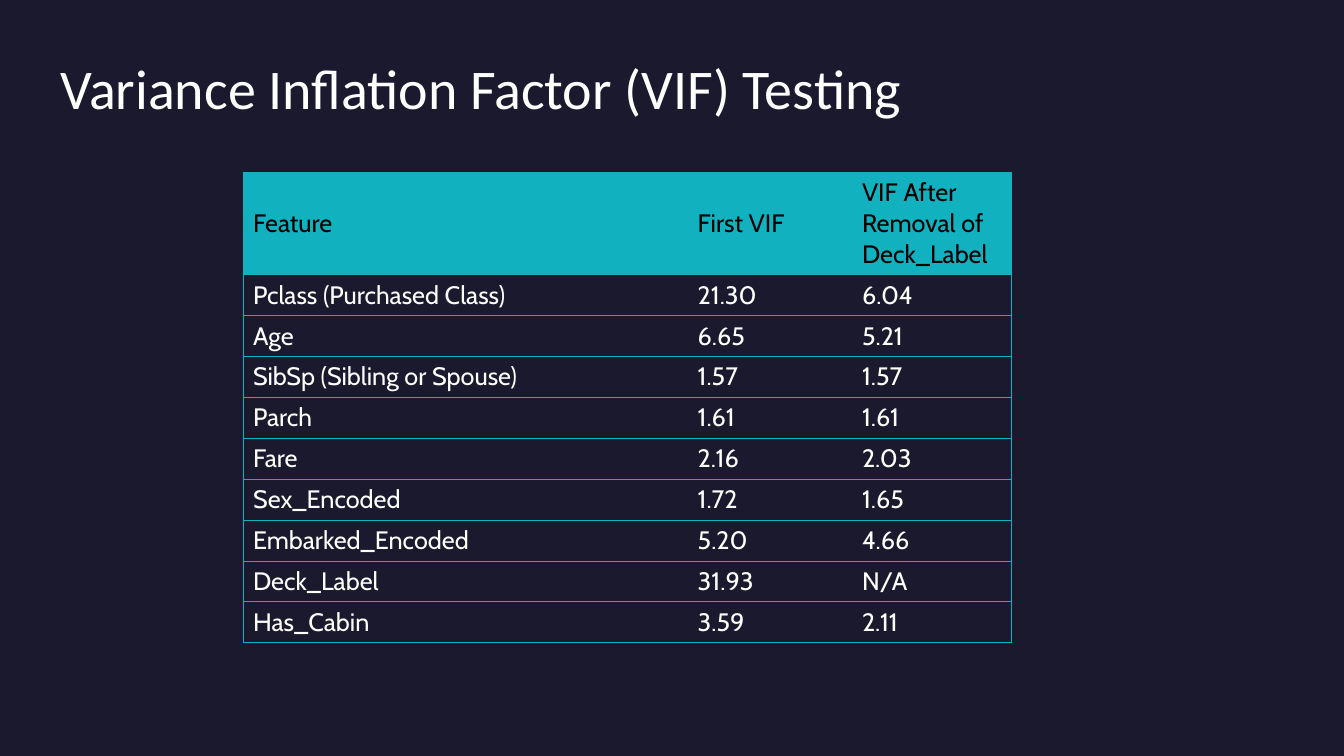
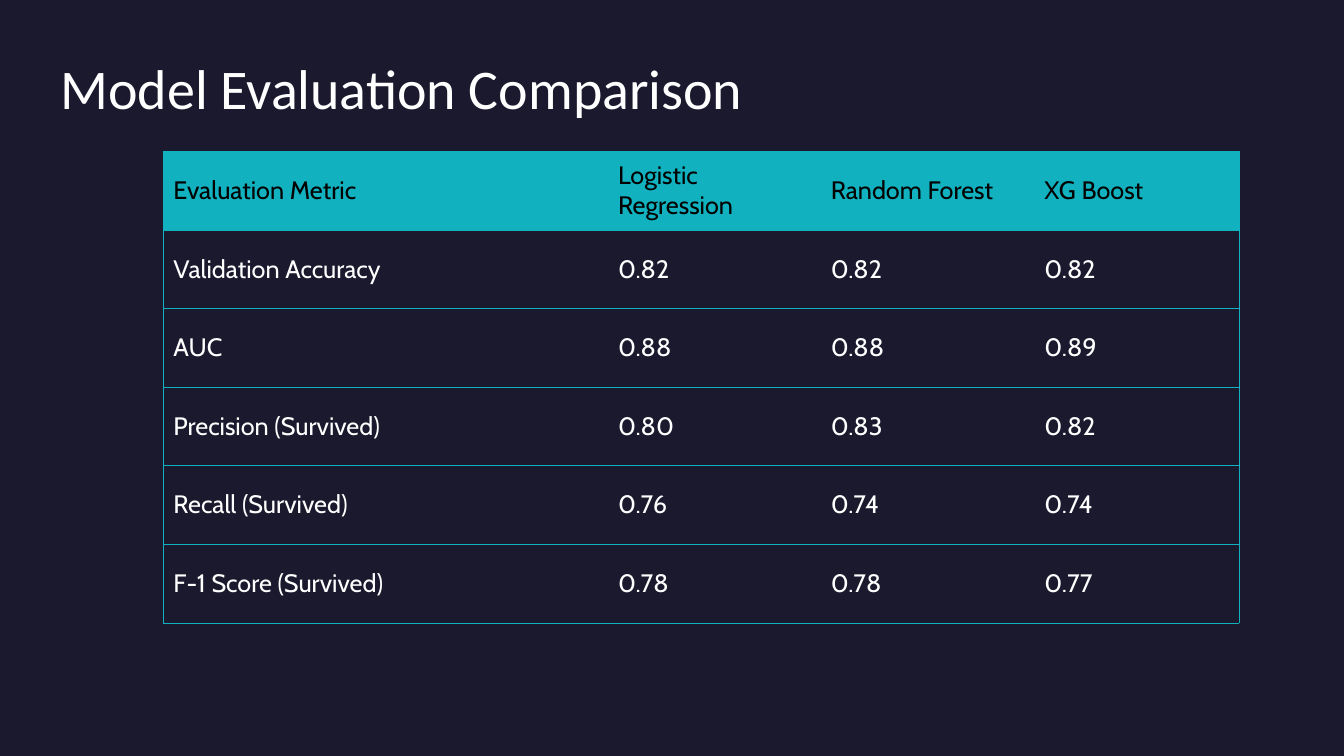
from dataclasses import dataclass

from lxml import etree
from pptx import Presentation
from pptx.dml.color import RGBColor
from pptx.enum import text
from pptx.oxml import ns
from pptx.util import Inches, Pt


@dataclass(frozen=True)
class Theme:
    background: RGBColor = RGBColor.from_string("1B192E")
    accent: RGBColor = RGBColor.from_string("12B1BF")
    light: RGBColor = RGBColor.from_string("FFFFFF")
    dark: RGBColor = RGBColor.from_string("000000")
    title_font: str = "Calibri"
    table_font: str = "Cabin"
    title_size: Pt = Pt(40)
    table_size: Pt = Pt(18)
    border_width: Pt = Pt(0.5)


theme = Theme()


def set_borders(cell, visible_sides):
    properties = cell._tc.get_or_add_tcPr()
    for index, side in enumerate("LRTB"):
        line = etree.Element(ns.qn(f"a:ln{side}"), w=str(theme.border_width))
        if side in visible_sides:
            fill = etree.SubElement(line, ns.qn("a:solidFill"))
            etree.SubElement(fill, ns.qn("a:srgbClr"), val=str(theme.accent))
        else:
            etree.SubElement(line, ns.qn("a:noFill"))
        properties.insert(index, line)


def style_font(font, name, size, color):
    font.name = name
    font.size = size
    font.bold = False
    font.color.rgb = color


slides = [
    {
        "title": "Variance Inflation Factor (VIF) Testing",
        "left": 2.41,
        "top": 1.71,
        "columns": [4.41, 1.63, 1.58],
        "header_height": 1.01,
        "row_height": 0.4,
        "rows": [
            ["Feature", "First VIF", "VIF After Removal of Deck_Label"],
            ["Pclass (Purchased Class)", "21.30", "6.04"],
            ["Age", "6.65", "5.21"],
            ["SibSp (Sibling or Spouse)", "1.57", "1.57"],
            ["Parch", "1.61", "1.61"],
            ["Fare", "2.16", "2.03"],
            ["Sex_Encoded", "1.72", "1.65"],
            ["Embarked_Encoded", "5.20", "4.66"],
            ["Deck_Label", "31.93", "N/A"],
            ["Has_Cabin", "3.59", "2.11"],
        ],
    },
    {
        "title": "Model Evaluation Comparison",
        "left": 1.62,
        "top": 1.5,
        "columns": [4.41, 2.11, 2.12, 2.03],
        "header_height": 0.78,
        "row_height": 0.78,
        "rows": [
            ["Evaluation Metric", "Logistic Regression", "Random Forest", "XG Boost"],
            ["Validation Accuracy", "0.82", "0.82", "0.82"],
            ["AUC", "0.88", "0.88", "0.89"],
            ["Precision (Survived)", "0.80", "0.83", "0.82"],
            ["Recall (Survived)", "0.76", "0.74", "0.74"],
            ["F-1 Score (Survived)", "0.78", "0.78", "0.77"],
        ],
    },
]

presentation = Presentation()
presentation.slide_width = Inches(13.33)
presentation.slide_height = Inches(7.5)
master_fill = presentation.slide_master.background.fill
master_fill.solid()
master_fill.fore_color.rgb = theme.background
title_only = presentation.slide_layouts[5]

for content in slides:
    slide = presentation.slides.add_slide(title_only)

    title = slide.shapes.title
    title.left, title.top = Inches(0.6), Inches(0.61)
    title.width, title.height = Inches(12.13), Inches(1.3)
    frame = title.text_frame
    frame.text = content["title"]
    frame.margin_left = frame.margin_right = frame.margin_top = frame.margin_bottom = 0
    frame.vertical_anchor = text.MSO_ANCHOR.TOP
    frame.auto_size = text.MSO_AUTO_SIZE.NONE
    paragraph = frame.paragraphs[0]
    paragraph.alignment = text.PP_ALIGN.LEFT
    paragraph.line_spacing = 0.9
    style_font(paragraph.font, theme.title_font, theme.title_size, theme.light)

    rows, columns = content["rows"], content["columns"]
    heights = [content["header_height"]] + [content["row_height"]] * (len(rows) - 1)
    table = slide.shapes.add_table(
        len(rows), len(columns),
        Inches(content["left"]), Inches(content["top"]),
        Inches(sum(columns)), Inches(sum(heights)),
    ).table
    table.horz_banding = False
    for column, width in zip(table.columns, columns):
        column.width = Inches(width)

    for row_index, (values, height) in enumerate(zip(rows, heights)):
        table.rows[row_index].height = Inches(height)
        for column_index, value in enumerate(values):
            cell = table.cell(row_index, column_index)
            cell.text = value
            cell.vertical_anchor = text.MSO_ANCHOR.MIDDLE
            if row_index == 0:
                cell.fill.solid()
                cell.fill.fore_color.rgb = theme.accent
                color = theme.dark
            else:
                cell.fill.background()
                color = theme.light
            style_font(cell.text_frame.paragraphs[0].font,
                       theme.table_font, theme.table_size, color)
            sides = "TB"
            if column_index == 0:
                sides += "L"
            if column_index == len(columns) - 1:
                sides += "R"
            set_borders(cell, sides)

presentation.save("out.pptx")
